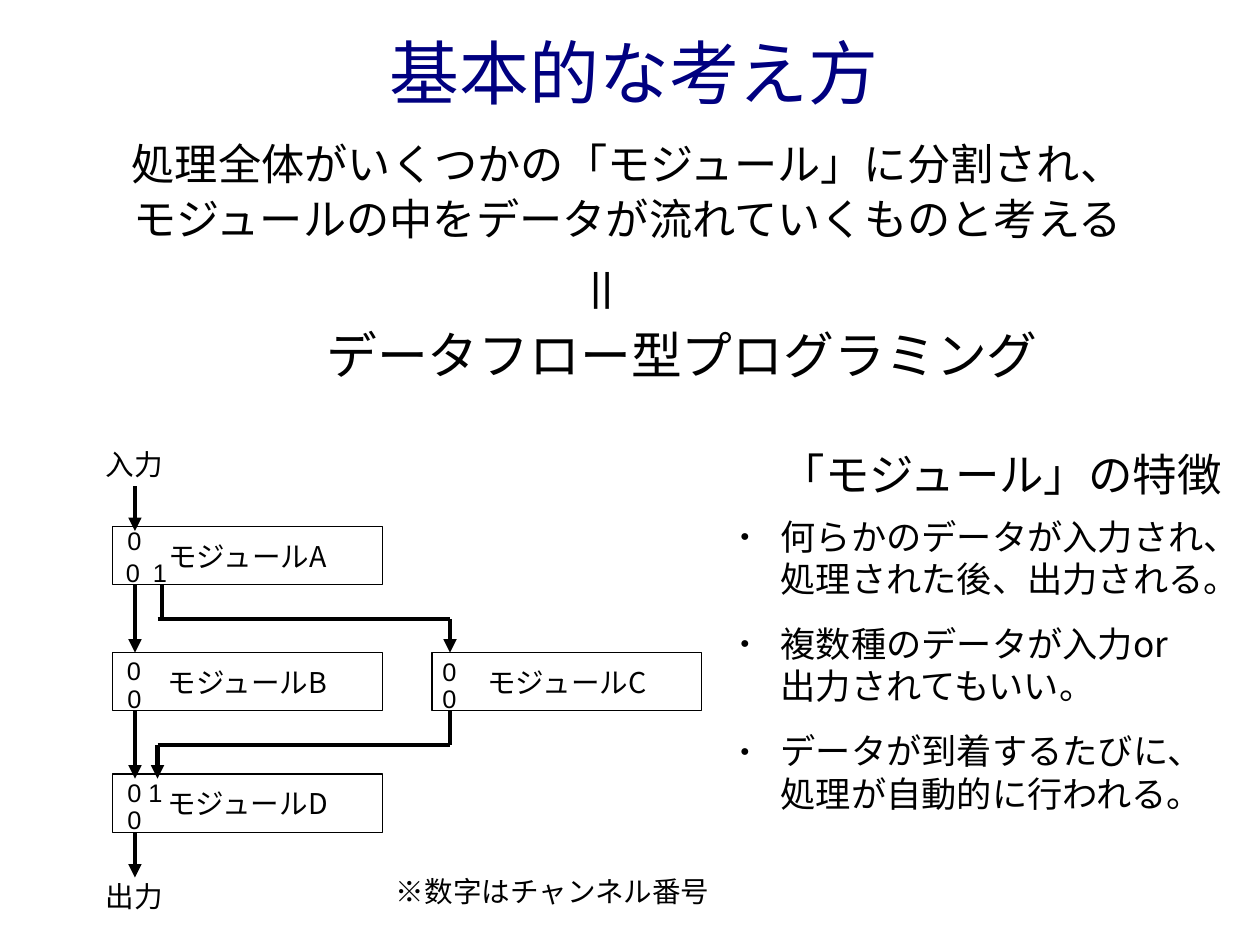
from dataclasses import dataclass

from lxml.etree import SubElement
from pptx import Presentation
from pptx.dml.color import RGBColor as Rgb
from pptx.enum.shapes import MSO_CONNECTOR as Link, MSO_SHAPE as Kind
from pptx.enum.text import MSO_ANCHOR as Anchor, MSO_AUTO_SIZE as Fit, PP_ALIGN as Align
from pptx.oxml import parse_xml
from pptx.oxml.ns import nsdecls, qn
from pptx.util import Cm, Pt


@dataclass(frozen=True)
class Theme:
    ink: str = "000000"
    navy: str = "000080"
    main: str = "Noto Sans CJK JP"
    digit: str = "Arial"
    title: float = 44
    key: float = 32
    head: float = 28
    lead: float = 27.2
    item: float = 22.2
    label: float = 18
    port: float = 16
    rule: float = 2.83
    gap: float = 14.2


class Page:
    """One slide on a grid of 28 columns by 21 rows."""

    def __init__(self, deck, theme):
        self.theme = theme
        self.col = deck.slide_width / 28
        self.row = deck.slide_height / 21
        self.slide = deck.slides.add_slide(deck.slide_layouts[3])
        self.shapes = self.slide.shapes

    def area(self, x, y, w, h):
        return [round(v) for v in (x * self.col, y * self.row, w * self.col, h * self.row)]

    def style(self, para, size, color=None, face=None):
        face = face or self.theme.main
        font = para.font
        font.size, font.name = Pt(size), face
        font.color.rgb = Rgb.from_string(color or self.theme.ink)
        props = para._p.pPr.find(qn("a:defRPr"))
        SubElement(props, qn("a:ea")).set("typeface", face)
        return props

    def holder(self, index, box):
        shape = self.slide.placeholders[index]
        shape.left, shape.top, shape.width, shape.height = self.area(*box)
        frame = shape.text_frame
        frame.margin_left = frame.margin_right = 0
        frame.margin_top = frame.margin_bottom = 0
        frame.auto_size = Fit.NONE
        return frame

    def title(self, text, box):
        frame = self.holder(0, box)
        frame.vertical_anchor = Anchor.MIDDLE
        para = frame.paragraphs[0]
        para.text, para.alignment = text, Align.CENTER
        self.style(para, self.theme.title, self.theme.navy)

    def body(self, index, box, items, size, space, dots):
        frame = self.holder(index, box)
        for n, text in enumerate(items):
            para = frame.add_paragraph() if n else frame.paragraphs[0]
            para.text = text
            para.alignment = Align.LEFT if dots else Align.CENTER
            para.line_spacing = space
            para.space_before, para.space_after = Pt(0), Pt(self.theme.gap)
            props = self.style(para, size)
            self.bullet(para, props, dots)

    def bullet(self, para, props, dots):
        pad, hang = (1.2, -0.9) if dots else (0, 0)
        para._p.pPr.set("marL", str(round(pad * self.col)))
        para._p.pPr.set("indent", str(round(hang * self.col)))
        marks = ["<a:buNone {}/>"]
        if dots:
            marks = [
                f'<a:buClr {{}}><a:srgbClr val="{self.theme.ink}"/></a:buClr>',
                '<a:buSzPct {} val="45000"/>',
                f'<a:buFont {{}} typeface="{self.theme.digit}"/>',
                '<a:buChar {} char="●"/>',
            ]
        for mark in marks:
            props.addprevious(parse_xml(mark.format(nsdecls("a"))))

    def text(self, text, box, size, face=None, turn=0):
        shape = self.shapes.add_textbox(*self.area(*box))
        shape.rotation = turn
        shape.text_frame.word_wrap = False
        para = shape.text_frame.paragraphs[0]
        para.text = text
        self.style(para, size, face=face)

    def port(self, digit, x, y):
        self.text(digit, (x, y, 0.81, 0.89), self.theme.port, self.theme.digit)

    def module(self, name, x, y):
        shape = self.shapes.add_shape(Kind.RECTANGLE, *self.area(x, y, 6, 1.3))
        shape.shadow.inherit = False
        shape.fill.background()
        shape.line.color.rgb = Rgb.from_string(self.theme.ink)
        shape.line.width = 0
        frame = shape.text_frame
        frame.word_wrap, frame.vertical_anchor = False, Anchor.MIDDLE
        para = frame.paragraphs[0]
        para.text, para.alignment = "モジュール" + name, Align.CENTER
        self.style(para, self.theme.label)

    def line(self, start, end, arrow=False):
        link = self.shapes.add_connector(Link.STRAIGHT, *self.area(*start, *end))
        link.line.color.rgb = Rgb.from_string(self.theme.ink)
        link.line.width = Pt(self.theme.rule)
        if arrow:
            SubElement(link.line._get_or_add_ln(), qn("a:tailEnd")).set("type", "triangle")
        SubElement(link._element.spPr, qn("a:effectLst"))


def main():
    deck = Presentation()
    deck.slide_width, deck.slide_height = Cm(28), Cm(21)
    theme = Theme()
    page = Page(deck, theme)

    # Title and idea
    page.title("基本的な考え方", (0.3, 0.45, 27.6, 2.27))
    lead = "処理全体がいくつかの「モジュール」に分割され、\vモジュールの中をデータが流れていくものと考える"
    page.body(1, (0.9, 3, 26.1, 3), [lead], theme.lead, 1.05, False)
    page.text("データフロー型プログラミング", (7, 7.08, 16.33, 1.88), theme.key)
    page.text("＝", (12.45, 5.53, 1.63, 1.88), theme.key, turn=90)

    # Modules
    for name, x, y in [("A", 2.5, 11.7), ("B", 2.5, 14.5), ("C", 9.6, 14.5), ("D", 2.5, 17.2)]:
        page.module(name, x, y)

    # Main flow from input to output
    for top, end in [(10.8, 11.8), (13, 14.5), (15.8, 17.3), (18.5, 19.5)]:
        page.line((3, top), (3, end), True)
    for word, y in [("入力", 9.8), ("出力", 19.4)]:
        page.text(word, (2.1, y, 1.9, 1.17), theme.label)

    # Side flow by way of module C
    for top, mid, end, x, out in [(13, 13.75, 14.5, 3.6, 10), (15.8, 16.55, 17.3, 10, 3.5)]:
        page.line((x, top), (x, mid))
        page.line((3.5, mid), (10, mid))
        page.line((out, mid), (out, end), True)

    # Channel numbers
    ports = {
        "0": [(2.58, 11.55), (2.55, 12.25), (2.57, 14.43), (2.58, 15.05),
              (9.58, 14.45), (9.58, 15.05), (2.58, 17.15), (2.58, 17.75)],
        "1": [(3.15, 12.25), (3.05, 17.15)],
    }
    for digit, spots in ports.items():
        for x, y in spots:
            page.port(digit, x, y)
    page.text("※数字はチャンネル番号", (8.55, 19.3, 7.47, 1.17), theme.label)

    # Traits of a module
    page.text("「モジュール」の特徴", (17.1, 9.8, 10.3, 1.68), theme.head)
    traits = [
        "何らかのデータが入力され、\v処理された後、出力される。",
        "複数種のデータが入力or\v出力されてもいい。",
        "データが到着するたびに、\v処理が自動的に行われる。",
    ]
    page.body(2, (16.15, 11.45, 11.6, 8.74), traits, theme.item, 1.0, True)

    deck.save("out.pptx")


if __name__ == "__main__":
    main()
